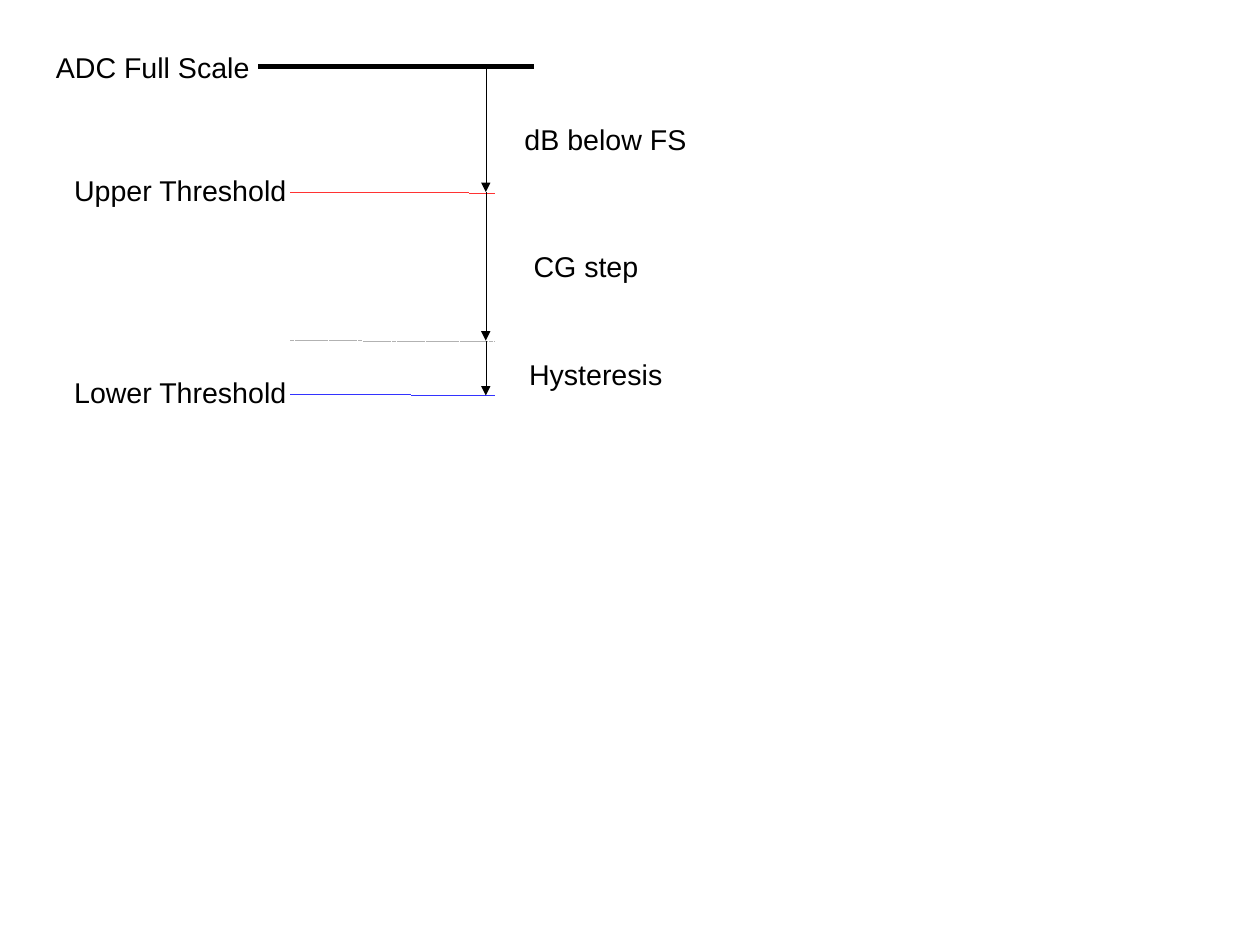
from pptx import Presentation
from pptx import util as u
from pptx.dml.color import RGBColor
from pptx.enum import dml, shapes, text
from pptx.oxml.ns import qn
from lxml import etree

COLORS = {"black": "000000", "upper": "FF3333", "lower": "3333FF", "step": "B2B2B2"}


class Diagram:
    """Holds the text style and the current slide."""

    font = {"name": "Arial", "size": u.Pt(18)}
    frame = {
        "word_wrap": False,
        "auto_size": text.MSO_AUTO_SIZE.SHAPE_TO_FIT_TEXT,
        "margin_left": u.Inches(0.1),
        "margin_right": u.Inches(0.1),
        "margin_top": u.Inches(0.05),
        "margin_bottom": u.Inches(0.05),
    }

    def __init__(self, slide):
        self.s = slide

    def line(self, x1, y1, x2, y2, color="black", width=0, dash=None, arrow=False):
        ends = [u.Inches(v) for v in (x1, y1, x2, y2)]
        sp = self.s.shapes.add_connector(shapes.MSO_CONNECTOR.STRAIGHT, *ends)
        sp.line.color.rgb = RGBColor.from_string(COLORS[color])
        if dash:
            sp.line.dash_style = dash
        ln = sp._element.spPr.find(qn("a:ln"))
        ln.set("w", str(int(u.Pt(width))))  # a hairline needs an explicit zero
        if arrow:
            etree.SubElement(ln, qn("a:tailEnd"), type="triangle")
        etree.SubElement(sp._element.spPr, qn("a:effectLst"))

    def label(self, words, x, y, w, h=0.38):
        sp = self.s.shapes.add_textbox(*[u.Inches(v) for v in (x, y, w, h)])
        tf = sp.text_frame
        for name, value in self.frame.items():
            setattr(tf, name, value)
        r = tf.paragraphs[0].add_run()
        r.text = words
        for name, value in self.font.items():
            setattr(r.font, name, value)
        r.font.color.rgb = RGBColor.from_string(COLORS["black"])


def main():
    prs = Presentation()
    prs.slide_width, prs.slide_height = u.Cm(28), u.Cm(21)
    d = Diagram(prs.slides.add_slide(prs.slide_layouts[6]))

    # Levels
    full_scale, upper, step, lower = 0.58, 1.68, 2.98, 3.45
    d.line(2.26, full_scale, 4.67, full_scale, width=2.83)
    for y, color, dash in (
        (upper, "upper", None),
        (lower, "lower", None),
        (step, "step", dml.MSO_LINE.SQUARE_DOT),
    ):
        d.line(2.54, y, 4.33, y + 0.01, color, dash=dash)

    # Arrows from each level to the next
    levels = [full_scale, upper, step, lower + 0.01]
    for top, bottom in zip(levels, levels[1:]):
        d.line(4.25, top, 4.25, bottom, arrow=True)

    # Level names on the left, distances on the right
    for words, x, y, w in (
        ("ADC Full Scale", 0.39, 0.39, 1.91),
        ("Upper Threshold", 0.55, 1.46, 2.08),
        ("Lower Threshold", 0.55, 3.23, 2.08),
        ("dB below FS", 4.49, 1.02, 1.63),
        ("Hysteresis", 4.53, 3.07, 1.38),
        ("CG step", 4.57, 2.13, 1.13),
    ):
        d.label(words, x, y, w)

    prs.save("out.pptx")


if __name__ == "__main__":
    main()
